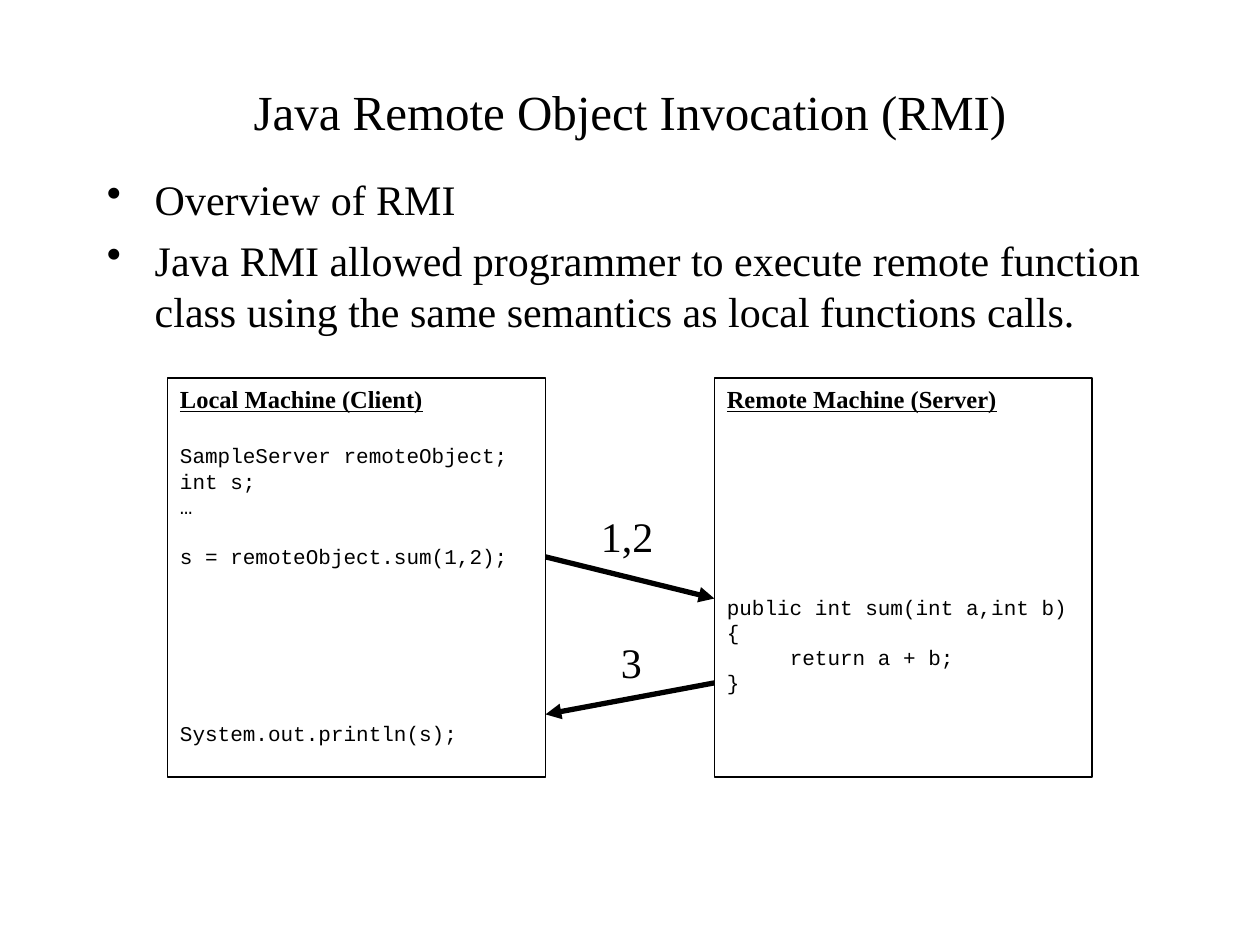
from dataclasses import dataclass

from lxml import etree
from pptx import Presentation
from pptx import util as u
from pptx.dml.color import RGBColor
from pptx.enum import shapes, text
from pptx.oxml import ns

COLORS = {"ink": "000000"}
SERIF = "Times New Roman"
MONO = "Courier New"
CODE_PITCH = 14.4
HEADING_GAP = 16.8
BOX_TOP, BOX_WIDTH, BOX_HEIGHT = 3, 3, 3.17
CLIENT_LEFT, SERVER_LEFT = 1.33, 5.67
CLIENT_RIGHT = CLIENT_LEFT + BOX_WIDTH


@dataclass(frozen=True)
class CodeLine:
    content: str
    skipped_lines: int = 0
    indent: float = 0


@dataclass(frozen=True)
class Machine:
    heading: str
    left: float
    code: tuple[CodeLine, ...]


@dataclass(frozen=True)
class Message:
    label: str
    start: tuple[float, float]
    end: tuple[float, float]
    label_left: float
    label_top: float
    label_width: float


MACHINES = (
    Machine("Local Machine (Client)", CLIENT_LEFT, (
        CodeLine("SampleServer remoteObject;"),
        CodeLine("int s;"),
        CodeLine("…"),
        CodeLine("s = remoteObject.sum(1,2);", skipped_lines=1),
        CodeLine("System.out.println(s);", skipped_lines=6),
    )),
    Machine("Remote Machine (Server)", SERVER_LEFT, (
        CodeLine("public int sum(int a,int b) {", skipped_lines=6),
        CodeLine("return a + b;", indent=0.5),
        CodeLine("}"),
    )),
)

MESSAGES = (
    Message("1,2", (CLIENT_RIGHT, 4.42), (SERVER_LEFT, 4.75), 4.67, 4, 0.64),
    Message("3", (SERVER_LEFT, 5.42), (CLIENT_RIGHT, 5.67), 4.83, 5, 0.38),
)

BULLETS = (
    "Overview of RMI",
    "Java RMI allowed programmer to execute remote function class "
    "using the same semantics as local functions calls.",
)


def ink() -> RGBColor:
    return RGBColor.from_string(COLORS["ink"])


def format_paragraph(paragraph, content: str, size: float, font: str = SERIF,
                     align=text.PP_ALIGN.LEFT) -> None:
    paragraph.text = content
    paragraph.alignment = align
    paragraph.font.name = font
    paragraph.font.size = u.Pt(size)
    paragraph.font.color.rgb = ink()


def set_indent(paragraph, left: float, first: float = 0):
    properties = paragraph._p.get_or_add_pPr()
    properties.set("marL", str(u.Inches(left)))
    properties.set("indent", str(u.Inches(first)))
    return properties


def add_title(slide, content: str) -> None:
    title = slide.shapes.title
    title.left, title.top = u.Inches(0.75), u.Inches(0.67)
    title.width, title.height = u.Inches(8.5), u.Inches(0.42)
    frame = title.text_frame
    frame.auto_size = text.MSO_AUTO_SIZE.NONE
    frame.vertical_anchor = text.MSO_ANCHOR.MIDDLE
    format_paragraph(frame.paragraphs[0], content, 28, align=text.PP_ALIGN.CENTER)


def add_bullets(slide, bullets: tuple[str, ...]) -> None:
    body = slide.shapes.add_textbox(
        u.Inches(0.75), u.Inches(1.33), u.Inches(8.5), u.Inches(5.33))
    frame = body.text_frame
    frame.word_wrap = True
    for index, content in enumerate(bullets):
        paragraph = frame.add_paragraph() if index else frame.paragraphs[0]
        format_paragraph(paragraph, content, 24)
        paragraph.space_before = u.Pt(6)
        properties = set_indent(paragraph, 0.38, -0.38)
        bullet = etree.Element(ns.qn("a:buChar"), char="•")
        properties.find(ns.qn("a:defRPr")).addprevious(bullet)


def add_machine(slide, machine: Machine) -> None:
    box = slide.shapes.add_shape(
        shapes.MSO_SHAPE.RECTANGLE, u.Inches(machine.left), u.Inches(BOX_TOP),
        u.Inches(BOX_WIDTH), u.Inches(BOX_HEIGHT))
    box.shadow.inherit = False
    box.fill.background()
    box.line.color.rgb = ink()
    box.line.width = u.Pt(1)
    frame = box.text_frame
    frame.word_wrap = True
    frame.vertical_anchor = text.MSO_ANCHOR.TOP
    heading = frame.paragraphs[0]
    format_paragraph(heading, machine.heading, 14)
    heading.font.bold = True
    heading.font.underline = True
    for index, line in enumerate(machine.code):
        paragraph = frame.add_paragraph()
        format_paragraph(paragraph, line.content, 12, MONO)
        gap = line.skipped_lines * CODE_PITCH + (0 if index else HEADING_GAP)
        paragraph.space_before = u.Pt(gap)
        set_indent(paragraph, line.indent)


def add_message(slide, message: Message) -> None:
    arrow = slide.shapes.add_connector(
        shapes.MSO_CONNECTOR.STRAIGHT,
        *(u.Inches(value) for value in message.start + message.end))
    arrow.line.color.rgb = ink()
    arrow.line.width = u.Pt(3)
    etree.SubElement(arrow.line._get_or_add_ln(), ns.qn("a:tailEnd"), type="triangle")
    etree.SubElement(arrow._element.spPr, ns.qn("a:effectLst"))
    label = slide.shapes.add_textbox(
        u.Inches(message.label_left), u.Inches(message.label_top),
        u.Inches(message.label_width), u.Inches(0.5))
    label.text_frame.word_wrap = False
    label.text_frame.auto_size = text.MSO_AUTO_SIZE.SHAPE_TO_FIT_TEXT
    format_paragraph(label.text_frame.paragraphs[0], message.label, 24)


def main() -> None:
    presentation = Presentation()
    presentation.slide_width = u.Inches(10)
    presentation.slide_height = u.Inches(7.5)
    slide = presentation.slides.add_slide(presentation.slide_layouts[5])
    add_title(slide, "Java Remote Object Invocation (RMI)")
    add_bullets(slide, BULLETS)
    for machine in MACHINES:
        add_machine(slide, machine)
    for message in MESSAGES:
        add_message(slide, message)
    presentation.save("out.pptx")


if __name__ == "__main__":
    main()
